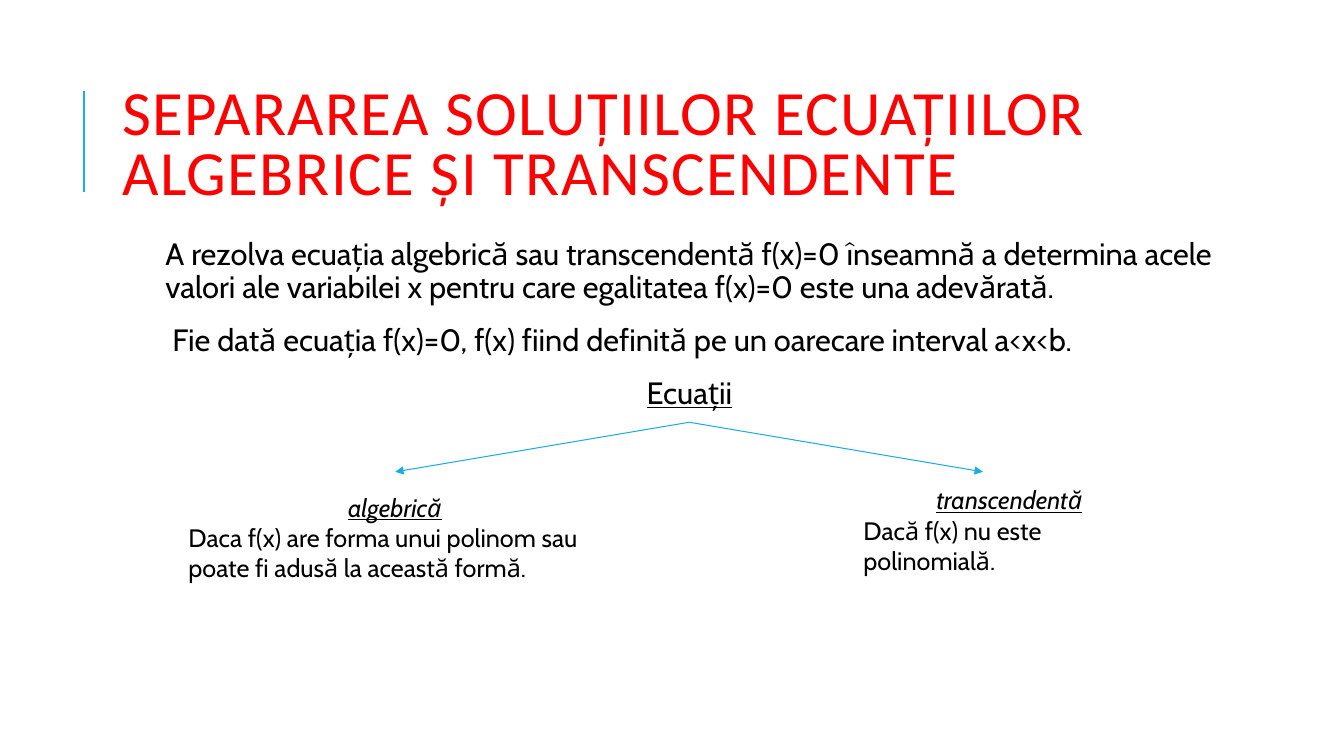
from lxml.etree import SubElement
from pptx import Presentation
from pptx.dml.color import RGBColor
from pptx.enum.shapes import MSO_CONNECTOR
from pptx.enum.text import MSO_ANCHOR, PP_ALIGN
from pptx.oxml.ns import qn
from pptx.util import Cm, Pt

COLORS = {"title": "FF0000", "text": "000000", "accent": "1CADE4"}


class EquationSlide:
    def __init__(self, presentation):
        self.slide = presentation.slides.add_slide(presentation.slide_layouts[6])

    def frame(self, left, top, width, height):
        box = self.slide.shapes.add_textbox(Cm(left), Cm(top), Cm(width), Cm(height))
        box.text_frame.word_wrap = True
        return box.text_frame

    def fill_paragraph(self, paragraph, text, size, font="Cabin", color="text",
                       centered=False, underline=False, italic=False):
        paragraph.text = text
        paragraph.alignment = PP_ALIGN.CENTER if centered else PP_ALIGN.LEFT
        style = paragraph.font
        style.name, style.size = font, Pt(size)
        style.underline, style.italic = underline, italic
        style.color.rgb = RGBColor.from_string(COLORS[color])

    def title(self, text, *place):
        frame = self.frame(*place)
        frame.vertical_anchor = MSO_ANCHOR.MIDDLE
        heading = frame.paragraphs[0]
        self.fill_paragraph(heading, text, 45, "Calibri", "title")
        heading.line_spacing = 0.8
        heading.runs[0].font._element.set("spc", "100")

    def body(self, statements, topic, *place):
        frame = self.frame(*place)
        frame.margin_left = frame.margin_right = Cm(0.13)
        lines = [(statement, False) for statement in statements] + [(topic, True)]
        for index, (text, is_topic) in enumerate(lines):
            paragraph = frame.add_paragraph() if index else frame.paragraphs[0]
            self.fill_paragraph(paragraph, text, 22,
                                centered=is_topic, underline=is_topic)
            paragraph.line_spacing = 0.9
            paragraph.space_before, paragraph.space_after = Pt(12), Pt(2)

    def branch(self, kind, definition, *place):
        frame = self.frame(*place)
        self.fill_paragraph(frame.paragraphs[0], kind, 18,
                            centered=True, underline=True, italic=True)
        self.fill_paragraph(frame.add_paragraph(), definition, 18)

    def line(self, start, end, weight, arrow=False):
        connector = self.slide.shapes.add_connector(
            MSO_CONNECTOR.STRAIGHT, *map(Cm, start + end))
        connector.line.color.rgb = RGBColor.from_string(COLORS["accent"])
        connector.line.width = Pt(weight)
        properties = connector._element.spPr
        if arrow:
            SubElement(properties.find(qn("a:ln")), qn("a:tailEnd"), type="triangle")
        SubElement(properties, qn("a:effectLst"))


def main():
    presentation = Presentation()
    presentation.slide_width, presentation.slide_height = Cm(33.87), Cm(19.05)
    equations = EquationSlide(presentation)

    equations.line((2.12, 4.83), (2.12, 2.29), 1.5)
    equations.title("SEPARAREA SOLUȚIILOR ECUAȚIILOR ALGEBRICE ȘI TRANSCENDENTE",
                    2.84, 1.63, 27, 4.17)
    equations.body(
        ["A rezolva ecuația algebrică sau transcendentă f(x)=0 înseamnă a determina "
         "acele valori ale variabilei x pentru care egalitatea f(x)=0 este una adevărată.",
         " Fie dată ecuația f(x)=0, f(x) fiind definită pe un oarecare interval a<x<b."],
        "Ecuații", 4.04, 5.89, 26.67, 9.93)

    fork = (17.37, 10.64)
    for arrow_x in (9.96, 24.77):
        equations.line(fork, (arrow_x, 11.89), 0.75, arrow=True)

    equations.branch("algebrică",
                     "Daca f(x) are forma unui polinom sau poate fi adusă la această formă.",
                     4.5, 12.27, 10.9, 2.57)
    equations.branch("transcendentă", "Dacă f(x) nu este polinomială.",
                     21.51, 12.09, 7.85, 2.57)

    presentation.save("out.pptx")


if __name__ == "__main__":
    main()
